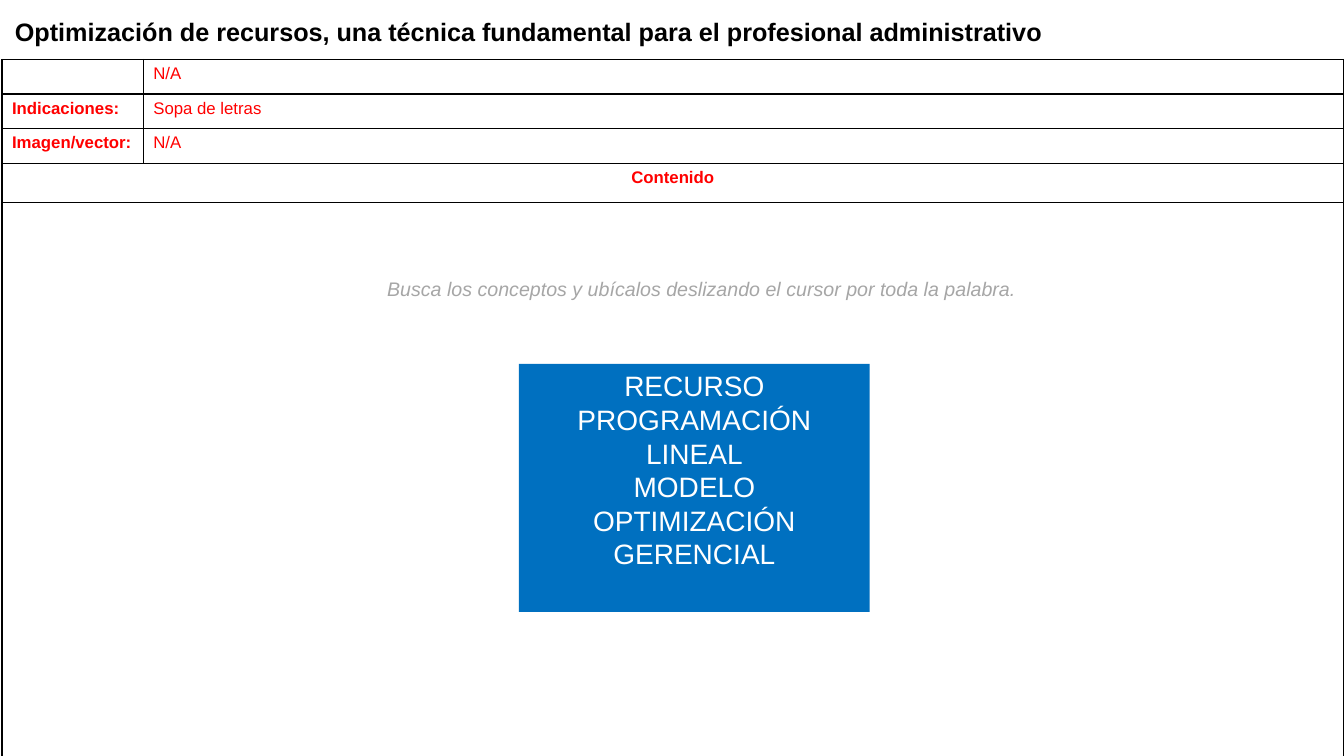
"""Build the word-search slide: title, specification table, instruction and word list."""
from dataclasses import dataclass

from lxml.etree import SubElement
from pptx import Presentation
from pptx.dml.color import RGBColor
from pptx.enum.shapes import MSO_SHAPE
from pptx.enum.text import MSO_ANCHOR, MSO_AUTO_SIZE, PP_ALIGN
from pptx.oxml.ns import qn
from pptx.util import Cm, Pt


@dataclass(frozen=True)
class Theme:
    font: str = "Arial"
    black: RGBColor = RGBColor(0, 0, 0)
    white: RGBColor = RGBColor(255, 255, 255)
    red: RGBColor = RGBColor(255, 0, 0)
    blue: RGBColor = RGBColor(0, 112, 192)
    gray: RGBColor = RGBColor(166, 166, 166)
    title_size: int = 18
    table_size: int = 12
    hint_size: int = 14
    word_size: int = 20


theme = Theme()


def write_lines(text_frame, lines, size, color, alignment=PP_ALIGN.CENTER, **formats):
    for index, line in enumerate(lines):
        paragraph = text_frame.add_paragraph() if index else text_frame.paragraphs[0]
        paragraph.alignment = alignment
        run = paragraph.add_run()
        run.text = line
        run.font.color.rgb = color
        values = {"name": theme.font, "size": Pt(size), "bold": False, **formats}
        for name, value in values.items():
            setattr(run.font, name, value)


def add_borders(cell):
    properties = cell._tc.get_or_add_tcPr()
    for side in ("lnL", "lnR", "lnT", "lnB"):
        border = SubElement(properties, qn(f"a:{side}"), w=str(Pt(1)))
        fill = SubElement(border, qn("a:solidFill"))
        SubElement(fill, qn("a:srgbClr"), val=str(theme.black))


presentation = Presentation()
presentation.slide_width = Cm(33.87)
presentation.slide_height = Cm(19.05)
slide = presentation.slides.add_slide(presentation.slide_layouts[5])

title = slide.shapes.title
title_format = {"left": Cm(-0.05), "top": Cm(0.28), "width": Cm(26.75), "height": Cm(1.02)}
for name, value in title_format.items():
    setattr(title, name, value)
title.text_frame.auto_size = MSO_AUTO_SIZE.NONE
title.text_frame.vertical_anchor = MSO_ANCHOR.MIDDLE
write_lines(
    title.text_frame,
    ["Optimización de recursos, una técnica fundamental para el profesional administrativo"],
    theme.title_size, theme.black, bold=True,
)

rows = [
    ("", "N/A"),
    ("Indicaciones:", "Sopa de letras"),
    ("Imagen/vector:", "N/A"),
    ("Contenido", None),
    ("", None),
]
row_heights = [0.87, 0.87, 0.87, 1, 15.44]
column_widths = [3.56, 30.25]
table = slide.shapes.add_table(
    len(rows), len(column_widths), Cm(0.05), Cm(1.5),
    Cm(sum(column_widths)), Cm(sum(row_heights)),
).table
table.first_row = False
table.horz_banding = False
for column, width in zip(table.columns, column_widths):
    column.width = Cm(width)
for row_index, (texts, height) in enumerate(zip(rows, row_heights)):
    table.rows[row_index].height = Cm(height)
    spans_row = texts[1] is None
    if spans_row:
        table.cell(row_index, 0).merge(table.cell(row_index, 1))
    for column_index, text in enumerate(texts):
        cell = table.cell(row_index, column_index)
        add_borders(cell)
        cell.fill.solid()
        cell.fill.fore_color.rgb = theme.white
        if text:
            alignment = PP_ALIGN.CENTER if spans_row else PP_ALIGN.LEFT
            write_lines(cell.text_frame, [text], theme.table_size, theme.red,
                        alignment, bold=column_index == 0)
        else:
            paragraph = cell.text_frame.paragraphs[0]
            SubElement(paragraph._p, qn("a:endParaRPr"), sz=str(theme.table_size * 100))

word_box = slide.shapes.add_shape(MSO_SHAPE.RECTANGLE, Cm(13.08), Cm(9.17), Cm(8.84), Cm(6.25))
word_box.shadow.inherit = False
word_box.fill.solid()
word_box.fill.fore_color.rgb = theme.blue
word_box.line.fill.background()
word_box.text_frame.word_wrap = True
word_box.text_frame.vertical_anchor = MSO_ANCHOR.TOP
words = ["RECURSO", "PROGRAMACIÓN", "LINEAL", "MODELO", "OPTIMIZACIÓN", "GERENCIAL"]
write_lines(word_box.text_frame, words, theme.word_size, theme.white)

hint = slide.shapes.add_textbox(Cm(9.47), Cm(6.86), Cm(16.43), Cm(0.86))
hint.text_frame.word_wrap = False
write_lines(
    hint.text_frame,
    ["Busca los conceptos y ubícalos deslizando el cursor por toda la palabra."],
    theme.hint_size, theme.gray, italic=True,
)

presentation.save("out.pptx")
